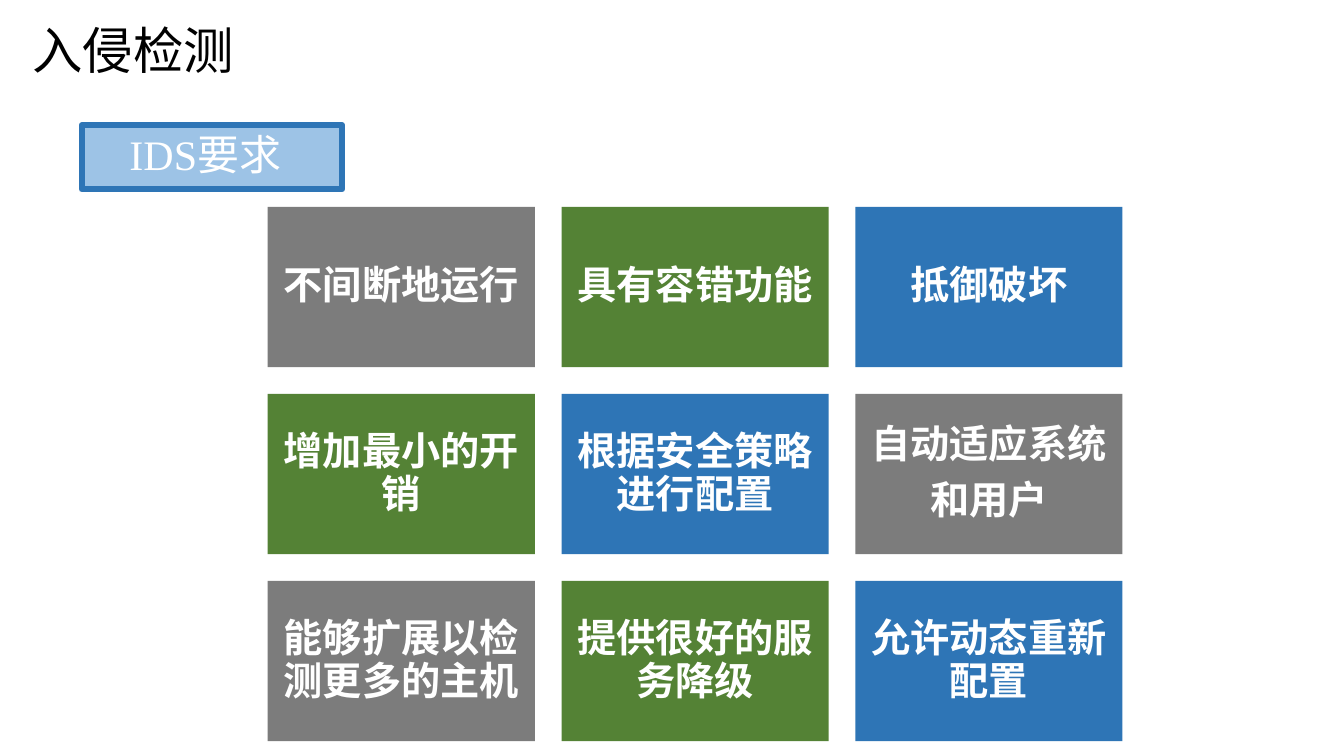
from lxml import etree
from pptx import Presentation
from pptx.dml.color import RGBColor
from pptx.enum.shapes import MSO_SHAPE
from pptx.enum.text import MSO_ANCHOR, PP_ALIGN
from pptx.oxml.ns import qn
from pptx.util import Pt

RECTANGLE = MSO_SHAPE.RECTANGLE
MIDDLE = MSO_ANCHOR.MIDDLE
LEFT, CENTER = PP_ALIGN.LEFT, PP_ALIGN.CENTER
CJK_FONT = "Noto Sans CJK SC"
COLORS = {
    "black": "000000", "white": "FFFFFF", "gray": "7C7C7C",
    "green": "548235", "blue": "2E75B6", "pale blue": "9DC3E6",
}
CARD_COLORS = ["gray", "green", "blue"]
REQUIREMENTS = [
    ["不间断地运行", "具有容错功能", "抵御破坏"],
    ["增加最小的开销", "根据安全策略进行配置", "自动适应系统\n和用户"],
    ["能够扩展以检测更多的主机", "提供很好的服务降级", "允许动态重新配置"],
]
CARD_LEFT, CARD_TOP = 191.2, 147.8
CARD_WIDTH, CARD_HEIGHT = 190.8, 114.5
CARD_GAP = 19.1


def color(name):
    return RGBColor.from_string(COLORS[name])


def write_text(shape, text, size, font=CJK_FONT, ink="white", bold=False, align=CENTER,
               margin_x=0, margin_y=0, line_spacing=0.9, space_after=0):
    """Fill the shape with one paragraph for each line of text."""
    frame = shape.text_frame
    frame.word_wrap = True
    frame.vertical_anchor = MIDDLE
    frame.margin_left = frame.margin_right = Pt(margin_x)
    frame.margin_top = frame.margin_bottom = Pt(margin_y)
    frame.text = text
    for para in frame.paragraphs:
        para.alignment = align
        para.line_spacing = line_spacing
        para.space_before = Pt(0)
        para.space_after = Pt(space_after)
        for span in para.runs:
            span.font.name = font
            span.font.size = Pt(size)
            span.font.bold = bold
            span.font.color.rgb = color(ink)
            east_asian = etree.SubElement(span.font._element, qn("a:ea"))
            east_asian.set("typeface", CJK_FONT)


deck = Presentation()
deck.slide_width, deck.slide_height = Pt(960), Pt(540)
page = deck.slides.add_slide(deck.slide_layouts[5])

title = page.shapes.title
title.left, title.top, title.width, title.height = Pt(15.1), Pt(0), Pt(425.5), Pt(76.3)
write_text(title, "入侵检测", 36, ink="black", align=LEFT, margin_x=8, margin_y=4)

label = page.shapes.add_shape(RECTANGLE, Pt(58.5), Pt(89.3), Pt(185.8), Pt(46))
label.shadow.inherit = False
label.fill.solid()
label.fill.fore_color.rgb = color("pale blue")
label.line.color.rgb = color("blue")
label.line.width = Pt(4.33)
etree.SubElement(label.line._get_or_add_ln(), qn("a:round"))
write_text(label, "IDS要求", 30, font="Times New Roman", align=LEFT, margin_x=34,
           space_after=10)

for row, texts in enumerate(REQUIREMENTS):
    for column, text in enumerate(texts):
        card = page.shapes.add_shape(
            RECTANGLE,
            Pt(CARD_LEFT + column * (CARD_WIDTH + CARD_GAP)),
            Pt(CARD_TOP + row * (CARD_HEIGHT + CARD_GAP)),
            Pt(CARD_WIDTH), Pt(CARD_HEIGHT))
        card.shadow.inherit = False
        card.fill.solid()
        # The middle row starts one colour later than its neighbours.
        card.fill.fore_color.rgb = color(CARD_COLORS[(column + row % 2) % 3])
        card.line.fill.background()
        write_text(card, text, 28, bold=True, margin_x=8.6, margin_y=8.6, space_after=10)

deck.save("out.pptx")
